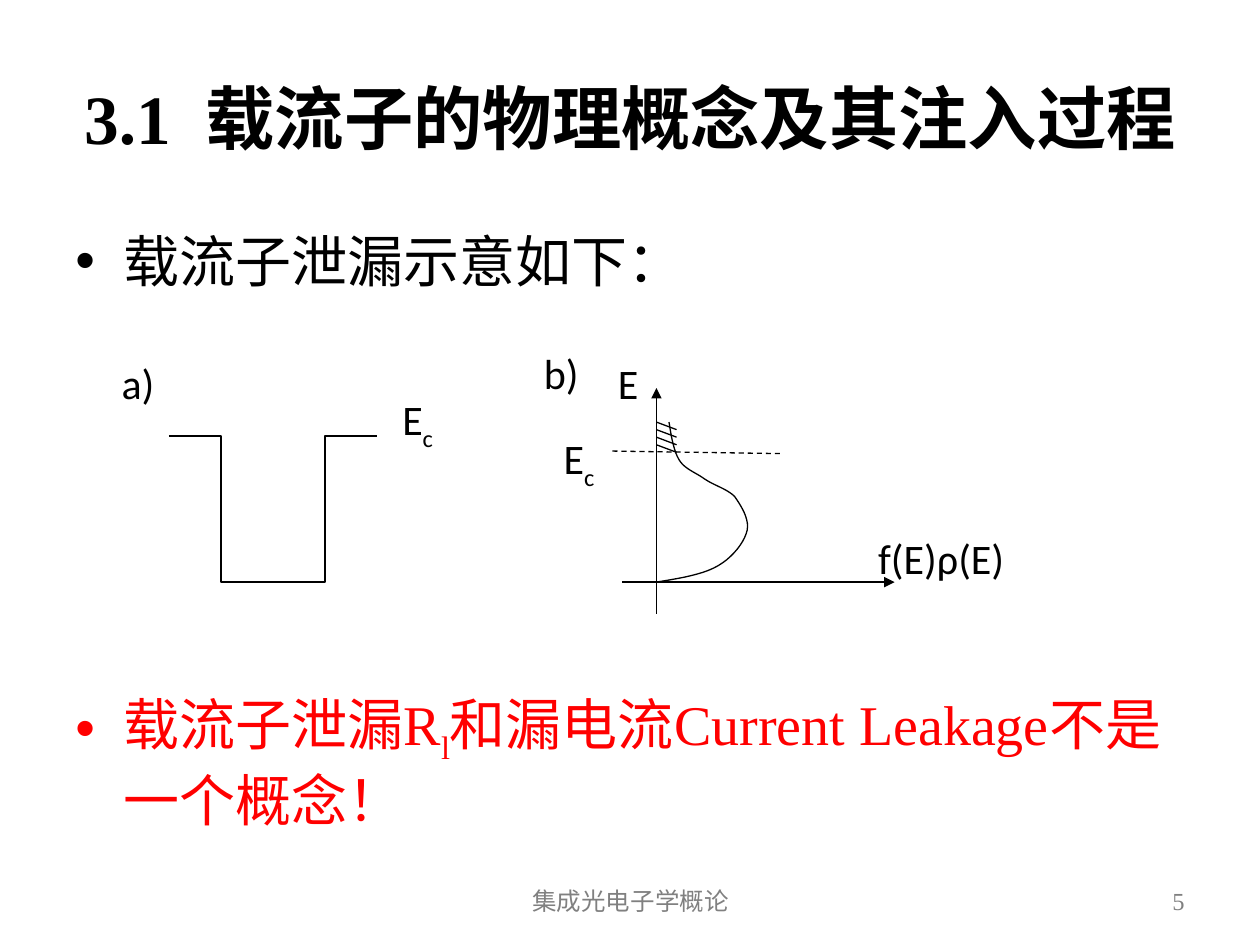
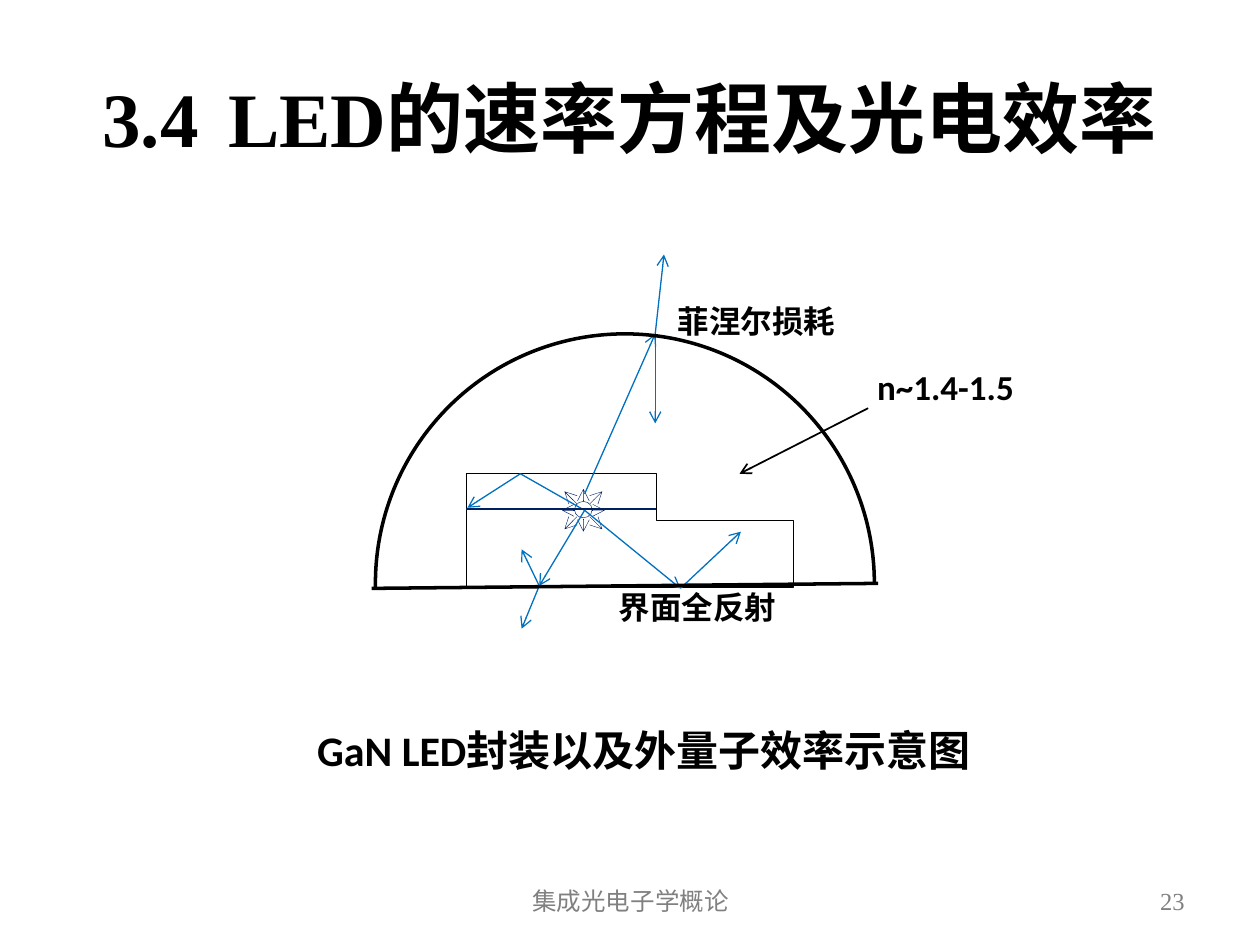
from dataclasses import dataclass
from itertools import product

from pptx import Presentation
from pptx.dml.color import RGBColor
from pptx.enum.dml import MSO_LINE
from pptx.enum.shapes import MSO_CONNECTOR, MSO_SHAPE
from pptx.enum.text import MSO_ANCHOR, PP_ALIGN
from pptx.oxml.ns import qn
from pptx.slide import Slide
from pptx.util import Pt
from lxml.etree import SubElement

EMU_PER_PX = 9144
SLIDE_WIDTH, SLIDE_HEIGHT = 1000, 750

BLACK = RGBColor(0x00, 0x00, 0x00)
WHITE = RGBColor(0xFF, 0xFF, 0xFF)
RED = RGBColor(0xFF, 0x00, 0x00)
GREY = RGBColor(0x80, 0x80, 0x80)
NAVY = RGBColor(0x00, 0x20, 0x60)
BLUE = RGBColor(0x00, 0x70, 0xC0)

SERIF = "Times New Roman"
SANS = "Calibri"
ARIAL = "Arial"
COURSE = "集成光电子学概论"


def px(length):
    return round(length * EMU_PER_PX)


def add_run(paragraph, text, font, size, color=BLACK, bold=False, baseline=0, spacing=0):
    run = paragraph.add_run()
    run.text = text
    run.font.name = font
    run.font.size = Pt(size)
    run.font.color.rgb = color
    run.font.bold = bold
    properties = run.font._element
    if baseline:
        properties.set("baseline", str(baseline * 1000))
    if spacing:
        properties.set("spc", str(spacing * 100))


def add_bullet(paragraph, indent):
    properties = paragraph._p.get_or_add_pPr()
    properties.set("marL", str(px(indent)))
    properties.set("indent", str(-px(indent)))
    SubElement(properties, qn("a:buFont"), typeface=ARIAL)
    SubElement(properties, qn("a:buChar"), char="•")


def bezier(start, curves, steps=10):
    points = [start]
    for control_1, control_2, end in curves:
        corners = (points[-1], control_1, control_2, end)
        for step in range(1, steps + 1):
            t = step / steps
            weights = ((1 - t) ** 3, 3 * t * (1 - t) ** 2, 3 * t * t * (1 - t), t ** 3)
            points.append(tuple(sum(w * c[axis] for w, c in zip(weights, corners))
                                for axis in (0, 1)))
    return points


@dataclass
class Region:
    slide: Slide
    left: int
    top: int

    def place(self, x, y):
        return px(self.left + x), px(self.top + y)

    def frame(self, x, y, width, height, anchor=MSO_ANCHOR.TOP, inset=True):
        box = self.slide.shapes.add_textbox(*self.place(x, y), px(width), px(height))
        frame = box.text_frame
        frame.word_wrap = True
        frame.vertical_anchor = anchor
        if not inset:
            frame.margin_left = frame.margin_right = 0
            frame.margin_top = frame.margin_bottom = 0
        return frame

    def text(self, box, runs, font, size, color=BLACK, bold=False,
             align=PP_ALIGN.CENTER, anchor=MSO_ANCHOR.TOP, inset=True):
        paragraph = self.frame(*box, anchor, inset).paragraphs[0]
        paragraph.alignment = align
        for words, options in runs:
            add_run(paragraph, words, font, size, color, bold, **options)

    def label(self, x, y, words, subscript="", width=61):
        runs = [(words, {})]
        if subscript:
            runs.append((subscript, {"baseline": -30}))
        self.text((x, y, width, 39), runs, SANS, 24, inset=False)

    def note(self, x, y, words, font, size):
        self.text((x, y, 141, 47), [(words, {})], font, size, bold=True, inset=False)

    def line(self, start, end, color=BLACK, weight=0.75, arrow=None, dashed=False,
             kind=MSO_CONNECTOR.STRAIGHT):
        connector = self.slide.shapes.add_connector(kind, *self.place(*start), *self.place(*end))
        connector.line.color.rgb = color
        connector.line.width = Pt(weight)
        if dashed:
            connector.line.dash_style = MSO_LINE.DASH
        if arrow:
            SubElement(connector.line._get_or_add_ln(), qn("a:tailEnd"), type=arrow)
        SubElement(connector._element.spPr, qn("a:effectLst"))

    def finish(self, shape, fill, color, weight):
        shape.shadow.inherit = False
        if fill is None:
            shape.fill.background()
        else:
            shape.fill.solid()
            shape.fill.fore_color.rgb = fill
        shape.line.color.rgb = color
        shape.line.width = Pt(weight)

    def outline(self, points, fill=None, closed=False):
        start, *rest = [self.place(*point) for point in points]
        builder = self.slide.shapes.build_freeform(*start, scale=1.0)
        builder.add_line_segments(rest, close=closed)
        self.finish(builder.convert_to_shape(), fill, BLACK, 0.75)

    def preset(self, kind, box, fill, color, weight):
        x, y, width, height = box
        shape = self.slide.shapes.add_shape(kind, *self.place(x, y), px(width), px(height))
        self.finish(shape, fill, color, weight)
        return shape


def slide_frame(presentation, title_runs, title_size, number):
    slide = presentation.slides.add_slide(presentation.slide_layouts[6])
    page = Region(slide, 0, 0)
    page.text((50, 30, 900, 125), title_runs, SERIF, title_size, bold=True,
              anchor=MSO_ANCHOR.MIDDLE)
    page.text((342, 695, 317, 40), [(COURSE, {})], SANS, 14, GREY, anchor=MSO_ANCHOR.MIDDLE)
    page.text((717, 695, 233, 40), [(number, {})], SERIF, 14, GREY,
              align=PP_ALIGN.RIGHT, anchor=MSO_ANCHOR.MIDDLE)
    return slide


def leakage_points(slide, left, top):
    body = Region(slide, left, top).frame(0, 0, 900, 495)
    intro = body.paragraphs[0]
    add_bullet(intro, 38)
    add_run(intro, "载流子泄漏示意如下：", SERIF, 32)
    warning = body.add_paragraph()
    add_bullet(warning, 38)
    warning.space_before = Pt(226)
    add_run(warning, "载流子泄漏R", SERIF, 32, RED)
    add_run(warning, "l", SERIF, 32, RED, baseline=-25)
    add_run(warning, "和漏电流Current Leakage不是一个概念！", SERIF, 32, RED)


def quantum_well(slide, left, top):
    well = Region(slide, left, top)
    for edge in (59, 224):
        well.line((edge, 70), (142, 186), kind=MSO_CONNECTOR.ELBOW)
    well.label(4, 8, "a)")
    well.label(226, 36, "E", "c")


def carrier_distribution(slide, left, top):
    plot = Region(slide, left, top)
    plot.line((83, 186), (299, 186), arrow="triangle")
    plot.line((110, 211), (110, 32), arrow="triangle")
    plot.outline(bezier((110, 186), [
        ((129, 183), (147, 180), (159, 173)),
        ((171, 166), (180, 154), (182, 145)),
        ((184, 136), (177, 125), (172, 118)),
        ((166, 112), (155, 109), (148, 104)),
        ((141, 99), (132, 96), (128, 89)),
        ((123, 81), (121, 65), (120, 59)),
    ]))
    plot.line((75, 82), (209, 84), dashed=True)
    for hatch in range(4):
        y = 65 + 6 * hatch
        plot.line((126, y), (110, y - 6))
    plot.label(4, 0, "b)")
    plot.label(57, 8, "E")
    plot.label(18, 67, "E", "c")
    plot.label(279, 147, "f(E)ρ(E)", width=114)


def emitter(slide, left, top):
    source = Region(slide, left, top)
    source.preset(MSO_SHAPE.OVAL, (-7, -7, 14, 13), WHITE, NAVY, 0.25)
    for dx, dy in product((-1, 0, 1), repeat=2):
        if dx or dy:
            inner = 5 if dx and dy else 7
            outer = inner + 10
            source.line((inner * dx, inner * dy), (outer * dx, outer * dy),
                        NAVY, 0.25, "arrow")


def led_package(slide, left, top):
    package = Region(slide, left, top)
    package.outline([(75, 174), (226, 174), (226, 211), (335, 211), (335, 264), (75, 264)],
                    WHITE, closed=True)
    emitter(slide, left + 168, top + 203)

    core, base, die_top = (169, 203), (245, 265), (118, 174)
    leak, dome_exit = (133, 263), (225, 63)
    package.line(core, die_top, BLUE)
    for start, end in [
        (core, base), (base, (293, 220)), (die_top, (76, 201)),
        (core, leak), (leak, (119, 234)), (leak, (119, 297)),
        ((169, 190), dome_exit), (dome_exit, (232, 0)), (dome_exit, (225, 134)),
    ]:
        package.line(start, end, BLUE, arrow="arrow")
    package.line((75, 202), (226, 202), NAVY, 1)

    dome = package.preset(MSO_SHAPE.ARC, (3, 63, 396, 396), None, BLACK, 2)
    dome.adjustments[0] = 107.3
    dome.adjustments[1] = 0
    package.line((0, 265), (402, 261), weight=2)
    package.line((394, 122), (292, 174), weight=1, arrow="arrow")
    package.note(385, 88, "n~1.4-1.5", SANS, 20)
    package.note(235, 38, "菲涅尔损耗", ARIAL, 18)
    package.note(188, 265, "界面全反射", ARIAL, 18)


def leakage_slide(presentation):
    title = [("3.1", {}), (" ", {"spacing": 10}), ("载流子的物理概念及其注入过程", {})]
    slide = slide_frame(presentation, title, 39.6, "5")
    leakage_points(slide, 50, 175)
    quantum_well(slide, 75, 276)
    carrier_distribution(slide, 411, 276)


def led_slide(presentation):
    title = [("3.4\tLED的速率方程及光电效率", {})]
    slide = slide_frame(presentation, title, 44, "23")
    led_package(slide, 295, 202)
    Region(slide, 210, 570).text((0, 0, 602, 50), [("GaN LED封装以及外量子效率示意图", {})],
                                 SANS, 24, bold=True)


def main():
    presentation = Presentation()
    presentation.slide_width = px(SLIDE_WIDTH)
    presentation.slide_height = px(SLIDE_HEIGHT)
    leakage_slide(presentation)
    led_slide(presentation)
    presentation.save("out.pptx")


if __name__ == "__main__":
    main()
